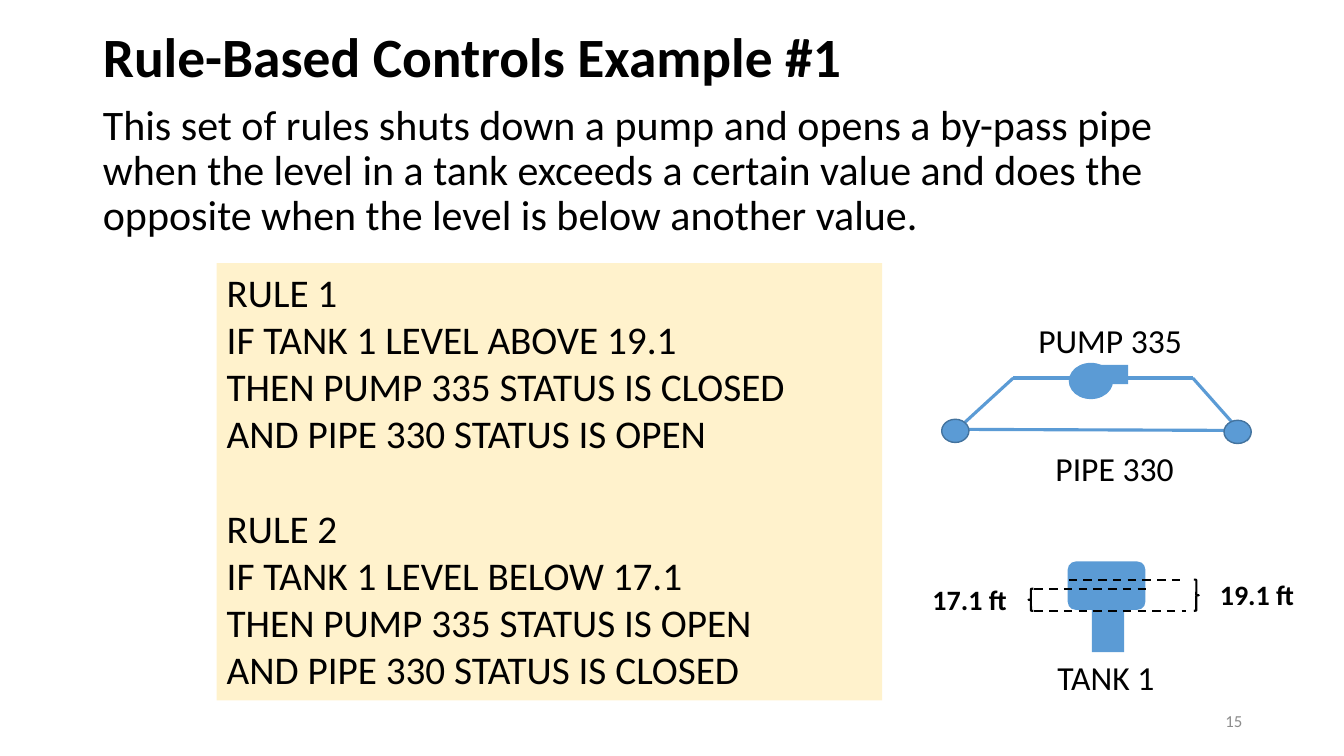
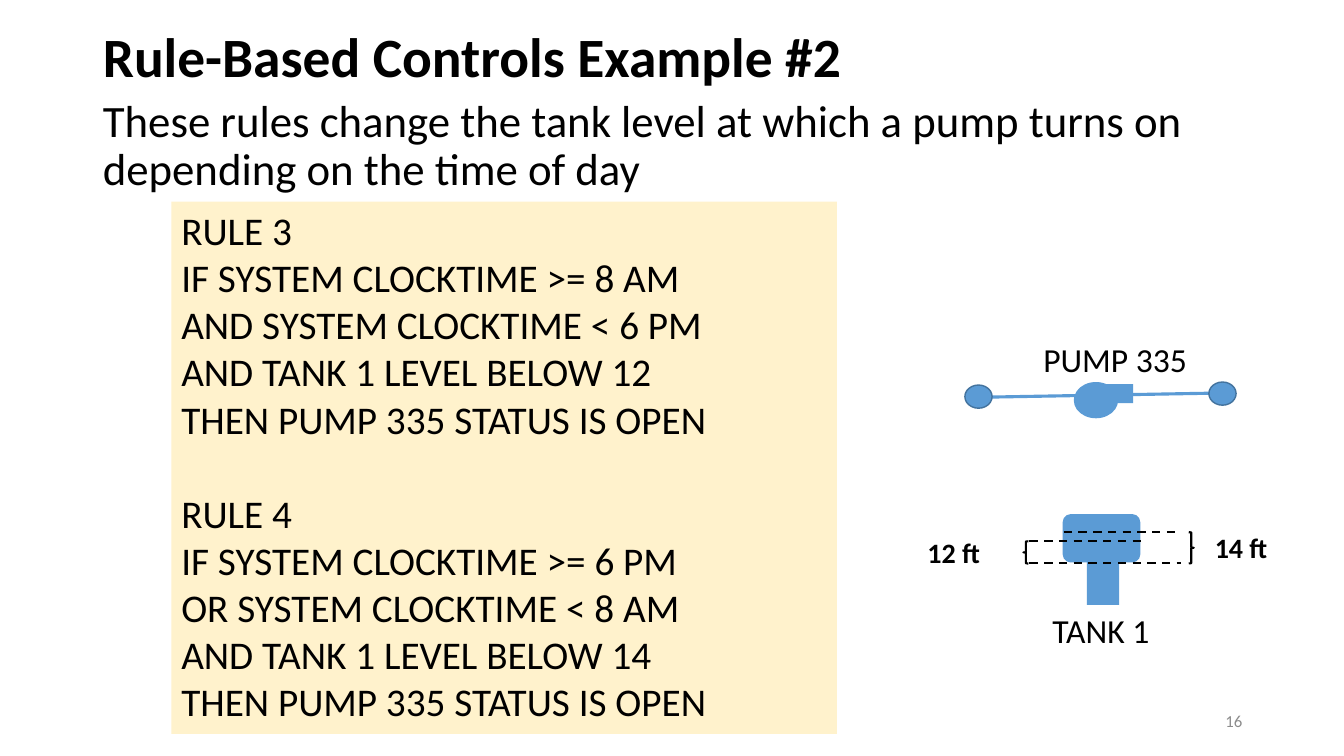
from dataclasses import dataclass

from lxml import etree
from pptx import Presentation
from pptx.dml.color import RGBColor
from pptx.enum import dml, shapes, text
from pptx.oxml import ns
from pptx.util import Inches, Pt

FONT = "Calibri"
BLACK = RGBColor(0x00, 0x00, 0x00)
GREY = RGBColor(0x8C, 0x8C, 0x8C)
BLUE = RGBColor(0x5B, 0x9B, 0xD5)
NODE_EDGE = RGBColor(0x43, 0x73, 0x9E)
CREAM = RGBColor(0xFF, 0xF2, 0xCC)
SHAPE = shapes.MSO_SHAPE
LEFT, RIGHT = text.PP_ALIGN.LEFT, text.PP_ALIGN.RIGHT
TOP, MIDDLE = text.MSO_ANCHOR.TOP, text.MSO_ANCHOR.MIDDLE

Point = tuple[float, float]
Box = tuple[float, float, float, float]

RULE_SIZE = 28
RULE_GAP = 34
LABEL_SIZE = (1.64, 0.5)
LEVEL_SIZE = (0.95, 0.44)
NODE_SIZE = (0.27, 0.23)


@dataclass(frozen=True)
class Tank:
    corner: Point
    low_level: str
    high_level: str


@dataclass(frozen=True)
class RuleSlide:
    number: int
    title: str
    summary: str
    summary_box: Box
    summary_size: float
    rules: list[list[str]]
    rules_box: Box
    nodes: list[Point]
    pipes: list[tuple[Point, Point]]
    pump: Point
    tank: Tank
    pipe_label: Point | None = None


EXAMPLES = [
    RuleSlide(
        number=15,
        title="Rule-Based Controls Example #1",
        summary="This set of rules shuts down a pump and opens a by-pass pipe "
                "when the level in a tank exceeds a certain value and does the "
                "opposite when the level is below another value.",
        summary_box=(0.92, 0.98, 11.5, 1.63),
        summary_size=30,
        rules=[
            ["RULE 1", "IF TANK 1 LEVEL ABOVE 19.1",
             "THEN PUMP 335 STATUS IS CLOSED", "AND PIPE 330 STATUS IS OPEN"],
            ["RULE 2", "IF TANK 1 LEVEL BELOW 17.1",
             "THEN PUMP 335 STATUS IS OPEN", "AND PIPE 330 STATUS IS CLOSED"],
        ],
        rules_box=(2.15, 2.61, 6.6, 4.34),
        nodes=[(9.34, 4.16), (12.14, 4.17)],
        pipes=[((9.57, 4.19), (10.05, 3.75)), ((10.05, 3.75), (11.83, 3.75)),
               ((11.83, 3.75), (12.38, 4.37)), ((9.61, 4.26), (12.14, 4.27))],
        pump=(10.6, 3.6),
        tank=Tank((10.59, 5.57), "17.1 ft", "19.1 ft"),
        pipe_label=(10.37, 4.39),
    ),
    RuleSlide(
        number=16,
        title="Rule-Based Controls Example #2",
        summary="These rules change the tank level at which a pump turns on "
                "depending on the time of day",
        summary_box=(0.92, 0.93, 11.5, 1.24),
        summary_size=32,
        rules=[
            ["RULE 3", "IF SYSTEM CLOCKTIME >= 8 AM",
             "AND SYSTEM CLOCKTIME < 6 PM", "AND TANK 1 LEVEL BELOW 12",
             "THEN PUMP 335 STATUS IS OPEN"],
            ["RULE 4", "IF SYSTEM CLOCKTIME >= 6 PM",
             "OR SYSTEM CLOCKTIME < 8 AM", "AND TANK 1 LEVEL BELOW 14",
             "THEN PUMP 335 STATUS IS OPEN"],
        ],
        rules_box=(1.7, 2, 6.6, 5.28),
        nodes=[(9.57, 3.82), (11.99, 3.79)],
        pipes=[((9.8, 3.94), (12.05, 3.9))],
        pump=(10.65, 3.79),
        tank=Tank((10.54, 5.1), "12 ft", "14 ft"),
    ),
]


def inches(box: Box) -> list[int]:
    return [Inches(value) for value in box]


def add_run(paragraph, wording: str, size: float, color=BLACK, bold=False) -> None:
    run = paragraph.add_run()
    run.text = wording
    run.font.name = FONT
    run.font.size = Pt(size)
    run.font.bold = bold
    run.font.color.rgb = color


def fill_placeholder(holder, box: Box, wording: str, size: float, anchor, bold=False) -> None:
    holder.left, holder.top, holder.width, holder.height = inches(box)
    frame = holder.text_frame
    frame.auto_size = text.MSO_AUTO_SIZE.NONE
    frame.vertical_anchor = anchor
    paragraph = frame.paragraphs[0]
    properties = paragraph._p.get_or_add_pPr()
    properties.set("marL", "0")
    properties.set("indent", "0")
    etree.SubElement(properties, ns.qn("a:buNone"))
    paragraph.alignment = LEFT
    paragraph.line_spacing = 0.9
    paragraph.space_before = Pt(0)
    add_run(paragraph, wording, size, bold=bold)


def add_label(slide, box: Box, wording: str, size: float, color=BLACK, bold=False,
              align=LEFT, anchor=TOP) -> None:
    frame = slide.shapes.add_textbox(*inches(box)).text_frame
    frame.word_wrap = True
    frame.vertical_anchor = anchor
    frame.paragraphs[0].alignment = align
    add_run(frame.paragraphs[0], wording, size, color, bold)


def add_part(parent, kind, box: Box, fill=None, edge=None, edge_width: float = 1):
    part = parent.shapes.add_shape(kind, *inches(box))
    part.shadow.inherit = False
    if fill is None:
        part.fill.background()
    else:
        part.fill.solid()
        part.fill.fore_color.rgb = fill
    if edge is None:
        part.line.fill.background()
    else:
        part.line.color.rgb = edge
        part.line.width = Pt(edge_width)
    return part


def add_line(slide, start: Point, end: Point, color, width: float, dashed=False) -> None:
    line = slide.shapes.add_connector(
        shapes.MSO_CONNECTOR.STRAIGHT, *inches((*start, *end)))
    line.line.color.rgb = color
    line.line.width = Pt(width)
    if dashed:
        line.line.dash_style = dml.MSO_LINE.DASH
    etree.SubElement(line._element.spPr, ns.qn("a:effectLst"))


def add_rules(slide, rules: list[list[str]], box: Box) -> None:
    frame = add_part(slide, SHAPE.RECTANGLE, box, CREAM).text_frame
    frame.word_wrap = True
    frame.vertical_anchor = TOP
    for index, rule in enumerate(rules):
        paragraph = frame.add_paragraph() if index else frame.paragraphs[0]
        paragraph.alignment = LEFT
        paragraph.space_before = Pt(RULE_GAP if index else 0)
        for row, statement in enumerate(rule):
            if row:
                paragraph.add_line_break()
            add_run(paragraph, statement, RULE_SIZE)


def add_pump(slide, x: float, y: float) -> None:
    pump = slide.shapes.add_group_shape()
    add_part(pump, SHAPE.OVAL, (x, y, 0.44, 0.36), BLUE)
    add_part(pump, SHAPE.RECTANGLE, (x + 0.13, y + 0.02, 0.46, 0.19), BLUE)
    add_label(slide, (x - 0.4, y - 0.48, *LABEL_SIZE), "PUMP 335", 24)


def add_tank(slide, tank: Tank) -> None:
    """Draw a tank with two levels measured up from its base."""
    x, y = tank.corner
    high, low, base = y + 0.18, y + 0.27, y + 0.49
    add_part(slide, SHAPE.RECTANGLE, (x + 0.24, y + 0.42, 0.32, 0.48), BLUE)
    add_part(slide, SHAPE.ROUNDED_RECTANGLE, (x, y, 0.77, 0.48), BLUE)
    add_label(slide, (x - 0.2, y + 0.9, *LABEL_SIZE), "TANK 1", 24)
    for left, right, level in ((0.01, 1.17, high), (-0.33, 0.82, low), (-0.33, 1.17, base)):
        add_line(slide, (x + left, level), (x + right, level), BLACK, 1.5, dashed=True)
    for brace, brace_x, level, label_x, wording in (
            (SHAPE.RIGHT_BRACE, x + 1.25, high, x + 1.41, tank.high_level),
            (SHAPE.LEFT_BRACE, x - 0.39, low, x - 1.44, tank.low_level)):
        add_part(slide, brace, (brace_x, level, 0.05, base - level), edge=BLACK, edge_width=1.5)
        label_y = (level + base) / 2 - LEVEL_SIZE[1] / 2
        add_label(slide, (label_x, label_y, *LEVEL_SIZE), wording, 20, bold=True)


def add_example(deck, example: RuleSlide) -> None:
    slide = deck.slides.add_slide(deck.slide_layouts[1])
    title, body = slide.placeholders
    fill_placeholder(title, (0.92, 0.1, 11.5, 0.98), example.title, 39.6, MIDDLE, bold=True)
    fill_placeholder(body, example.summary_box, example.summary, example.summary_size, TOP)
    add_rules(slide, example.rules, example.rules_box)
    for start, end in example.pipes:
        add_line(slide, start, end, BLUE, 2.25)
    for node in example.nodes:
        add_part(slide, SHAPE.OVAL, (*node, *NODE_SIZE), BLUE, NODE_EDGE)
    if example.pipe_label:
        add_label(slide, (*example.pipe_label, *LABEL_SIZE), "PIPE 330", 24)
    add_pump(slide, *example.pump)
    add_tank(slide, example.tank)
    add_label(slide, (9.42, 6.95, 3, 0.4), str(example.number), 12, GREY,
              align=RIGHT, anchor=MIDDLE)


def main() -> None:
    deck = Presentation()
    deck.slide_width, deck.slide_height = Inches(13.33), Inches(7.5)
    for example in EXAMPLES:
        add_example(deck, example)
    deck.save("out.pptx")


if __name__ == "__main__":
    main()
